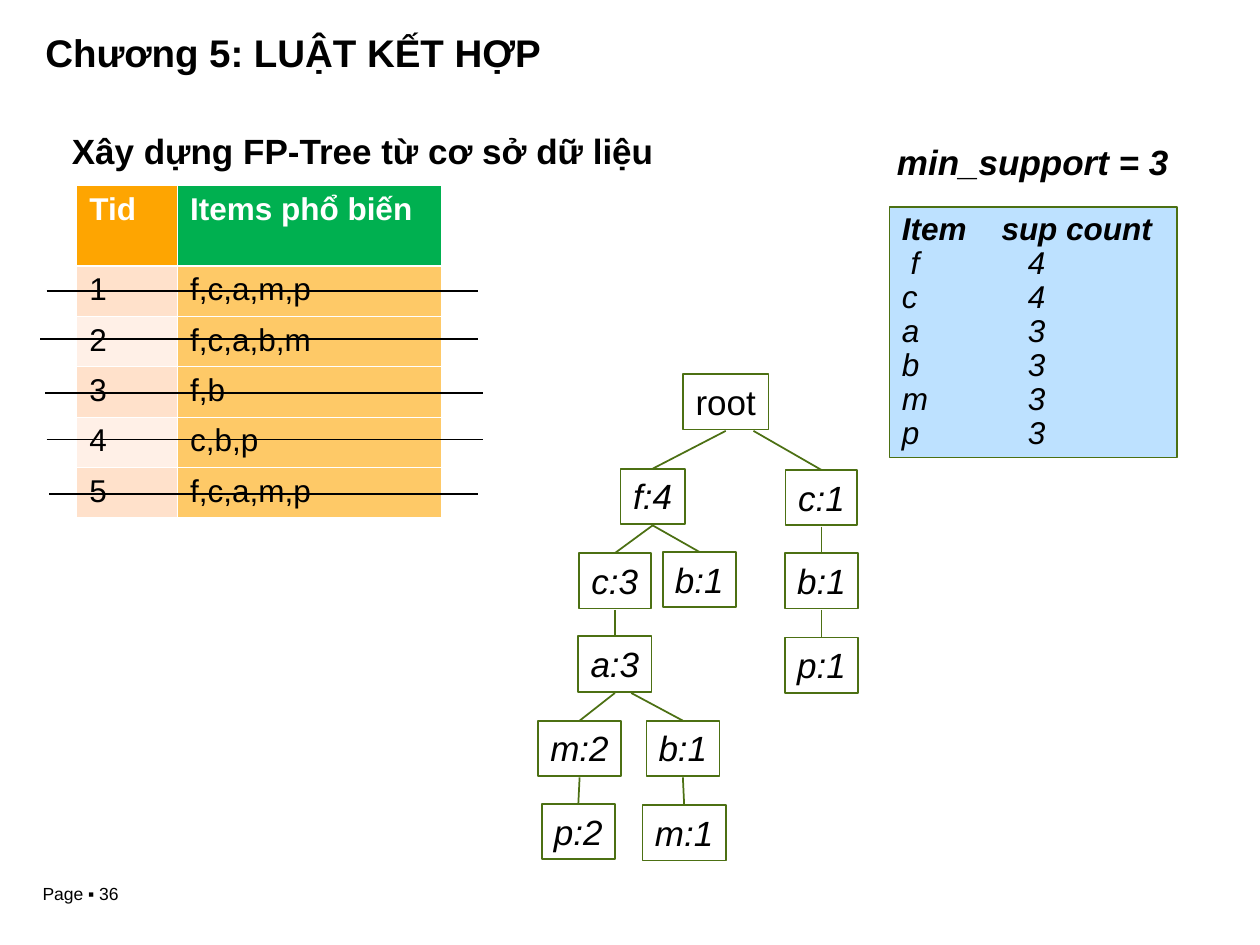
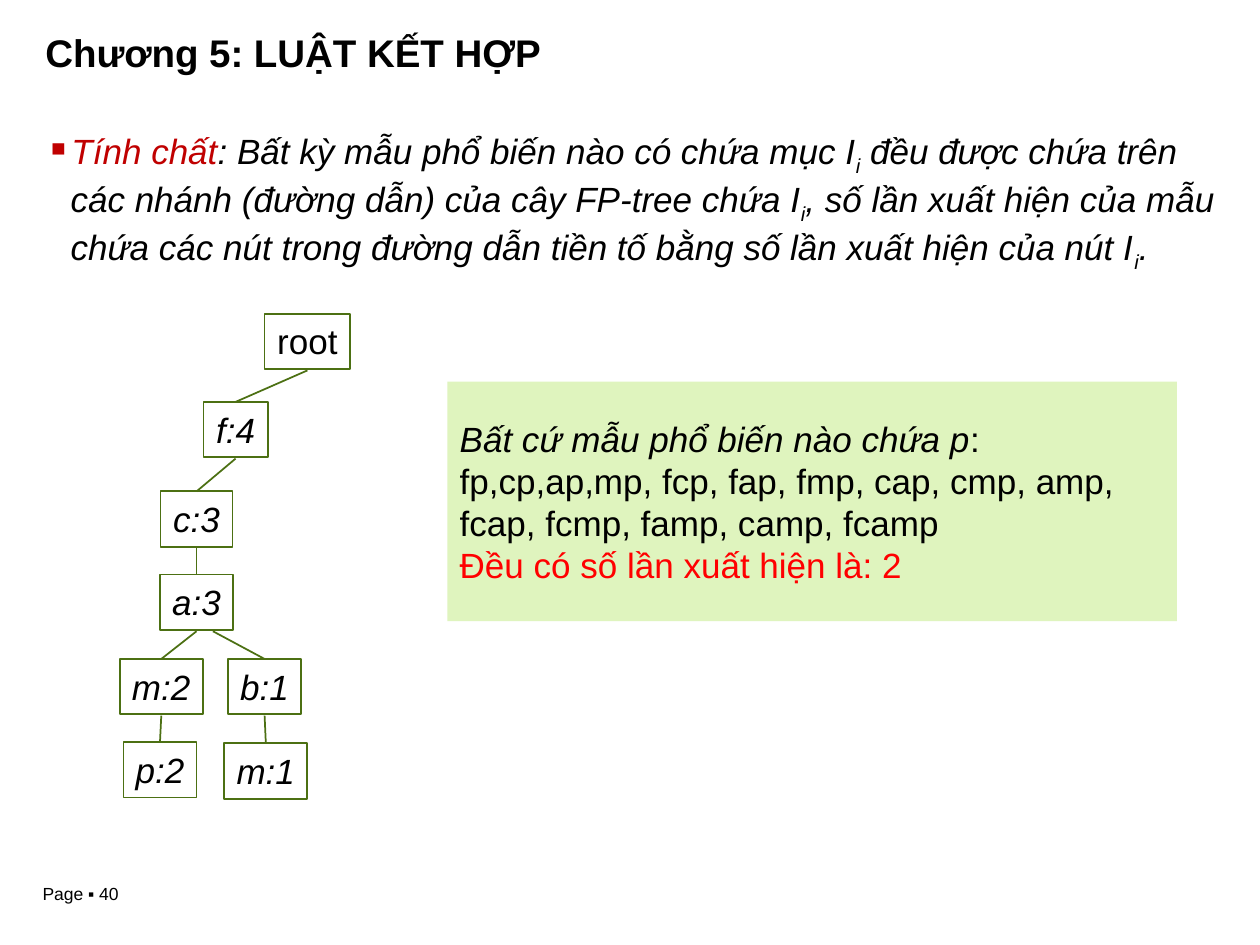
from dataclasses import dataclass

from pptx import Presentation
from pptx.dml.color import RGBColor as Color
from pptx.enum.shapes import MSO_CONNECTOR as Connector, MSO_SHAPE as Shape
from pptx.enum.text import MSO_ANCHOR as Anchor, MSO_AUTO_SIZE as AutoSize, PP_ALIGN as Align
from pptx.oxml.ns import qn
from pptx.util import Inches, Pt
from lxml.etree import SubElement


@dataclass(frozen=True)
class Theme:
    font: str = "Arial"
    black: str = "000000"
    white: str = "FFFFFF"
    green: str = "4C7013"
    dark_red: str = "C00000"
    red: str = "FF0000"
    pale_blue: str = "BDE1FF"
    pale_green: str = "DFF4BE"
    header_fills: tuple = ("FEA501", "00B050")
    tid_fills: tuple = ("FFE1CB", "FFF0E7")
    items_fill: str = "FEC967"
    title_size: int = 22
    body_size: int = 20
    table_size: int = 18
    footer_size: int = 10


theme = Theme()


def write(frame, lines, margins=(0.1, 0.05), anchor=Anchor.TOP, wrap=True,
          align=Align.LEFT, spacing=1.0, **look):
    """Fill a text frame; a line is a string or a list of (text, changes)."""
    side, edge = (Inches(margin) for margin in margins)
    settings = {"auto_size": AutoSize.NONE, "word_wrap": wrap, "vertical_anchor": anchor,
                "margin_left": side, "margin_right": side,
                "margin_top": edge, "margin_bottom": edge}
    for name, value in settings.items():
        setattr(frame, name, value)
    for number, line in enumerate(lines):
        para = frame.add_paragraph() if number else frame.paragraphs[0]
        para.alignment, para.line_spacing = align, spacing
        for text, changes in [(line, {})] if isinstance(line, str) else line:
            span = para.add_run()
            span.text = text
            values = {"size": theme.body_size, "color": theme.black,
                      "bold": False, "italic": False, **look, **changes}
            span.font.color.rgb = Color.from_string(values.pop("color"))
            if values.pop("subscript", False):
                span._r.get_or_add_rPr().set("baseline", "-25000")
            values.update(name=theme.font, size=Pt(values["size"]))
            for name, value in values.items():
                setattr(span.font, name, value)


def add_line(page, start, end, color, width):
    ends = [Inches(length) for length in (*start, *end)]
    line = page.shapes.add_connector(Connector.STRAIGHT, *ends)
    line.line.color.rgb = Color.from_string(color)
    line.line.width = Pt(width)
    SubElement(line._element.spPr, qn("a:effectLst"))


deck = Presentation()
deck.slide_width, deck.slide_height = Inches(10), Inches(7.5)

# Trees: label, centre, top, parent's place in the list, shift of the line's start
branch = [("a:3", 0, 0.66, 0, 0), ("m:2", -0.28, 1.33, 1, 0), ("p:2", -0.29, 1.99, 2, 0),
          ("b:1", 0.54, 1.33, 1, 0.13), ("m:1", 0.55, 2, 4, 0)]
trees = [
    {"stem": [("root", 5.76, 2.97, None, 0), ("f:4", 5.18, 3.72, 0, 0),
              ("c:3", 4.88, 4.39, 1, 0)],
     "others": [("b:1", 5.55, 4.38, 1, 0), ("c:1", 6.52, 3.73, 0, 0.22),
                ("b:1", 6.52, 4.39, 9, 0), ("p:1", 6.52, 5.06, 10, 0)]},
    {"stem": [("root", 2.44, 2.49, None, 0), ("f:4", 1.87, 3.19, 0, 0),
              ("c:3", 1.56, 3.9, 1, 0)],
     "others": []},
]
node_widths = {"r": 0.68, "f": 0.51, "c": 0.57, "m": 0.66}
node_height = 0.44

# Chapter title, page number and tree on each slide
pages = []
for page_number, tree in zip((36, 40), trees):
    page = deck.slides.add_slide(deck.slide_layouts[5])
    pages.append(page)
    title = page.shapes.title
    place = {"left": 0.36, "top": 0.22, "width": 9.32, "height": 0.71}
    for name, value in place.items():
        setattr(title, name, Inches(value))
    write(title.text_frame, ["Chương 5: LUẬT KẾT HỢP"], margins=(0, 0.05),
          spacing=0.9, size=theme.title_size, bold=True)

    footer = page.shapes.add_textbox(Inches(0.24), Inches(6.96), Inches(1.47), Inches(0.27))
    write(footer.text_frame, [f"Page ▪ {page_number}"], size=theme.footer_size)

    base_x, base_y = tree["stem"][-1][1:3]
    base_index = len(tree["stem"]) - 1
    moved = [(label, base_x + x, base_y + y, base_index + parent, shift)
             for label, x, y, parent, shift in branch]
    nodes = tree["stem"] + moved + tree["others"]
    for label, centre, top, parent, shift in nodes:
        width = node_widths.get(label[0], 0.58)
        box = page.shapes.add_shape(Shape.RECTANGLE, Inches(centre - width / 2), Inches(top),
                                    Inches(width), Inches(node_height))
        box.shadow.inherit = False
        box.fill.background()
        box.line.color.rgb = Color.from_string(theme.green)
        box.line.width = Pt(1)
        write(box.text_frame, [label], wrap=False, align=Align.CENTER, italic=label != "root")
        if parent is not None:
            parent_x, parent_y = nodes[parent][1:3]
            add_line(page, (parent_x + shift, parent_y + node_height + 0.01),
                     (centre, top), theme.green, 1)

build_page, property_page = pages

# Slide 1: headings
heading = build_page.shapes.add_textbox(Inches(0.57), Inches(1.02), Inches(4.73), Inches(0.48))
write(heading.text_frame, ["Xây dựng FP-Tree từ cơ sở dữ liệu"], margins=(0, 0.05),
      spacing=0.9, bold=True)
support = build_page.shapes.add_textbox(Inches(7.02), Inches(1.18), Inches(2.42), Inches(0.3))
write(support.text_frame, ["min_support = 3"], spacing=0.6, bold=True, italic=True)

# Slide 1: support counts
counts = build_page.shapes.add_shape(Shape.RECTANGLE, Inches(7.06), Inches(1.64),
                                     Inches(2.28), Inches(1.99))
counts.shadow.inherit = False
counts.fill.solid()
counts.fill.fore_color.rgb = Color.from_string(theme.pale_blue)
counts.line.color.rgb = Color.from_string(theme.green)
counts.line.width = Pt(1)
write(counts.text_frame,
      [[("Item\tsup count", {"bold": True})],
       " f\t4", "c\t4", "a\t3", "b\t3", "m\t3", "p\t3"],
      spacing=0.9, size=theme.table_size, italic=True)
for number, para in enumerate(counts.text_frame.paragraphs):
    tabs = SubElement(para._p.get_or_add_pPr(), qn("a:tabLst"))
    SubElement(tabs, qn("a:tab"), pos=str(Inches(1 if number else 0.79)), algn="l")

# Slide 1: transactions
transactions = [("Tid", "Items phổ biến"), ("1", "f,c,a,m,p"), ("2", "f,c,a,b,m"),
                ("3", "f,b"), ("4", "c,b,p"), ("5", "f,c,a,m,p")]
table = build_page.shapes.add_table(len(transactions), 2, Inches(0.61), Inches(1.47),
                                    Inches(2.89), Inches(2.64)).table
table.horz_banding = False
for column, width in zip(table.columns, (0.8, 2.09)):
    column.width = Inches(width)
for row_number, texts in enumerate(transactions):
    header = row_number == 0
    table.rows[row_number].height = Inches(0.64 if header else 0.4)
    fills = theme.header_fills if header else (theme.tid_fills[(row_number - 1) % 2],
                                               theme.items_fill)
    for column_number, (text, fill) in enumerate(zip(texts, fills)):
        cell = table.cell(row_number, column_number)
        write(cell.text_frame, [text], size=theme.table_size, bold=header,
              color=theme.white if header else theme.black)
        for side in "LRTB":
            thick = (side == "B" and header) or (side == "T" and row_number == 1)
            border = SubElement(cell._tc.get_or_add_tcPr(), qn(f"a:ln{side}"),
                                w=str(Pt(1.47 if thick else 0.45)))
            paint = SubElement(border, qn("a:solidFill"))
            SubElement(paint, qn("a:srgbClr"), val=theme.white)
        cell.fill.solid()
        cell.fill.fore_color.rgb = Color.from_string(fill)

# Slide 1: strokes through the transactions already read
for left, right, height in [(0.37, 3.79, 2.31), (0.32, 3.79, 2.69), (0.36, 3.83, 3.12),
                            (0.37, 3.83, 3.49), (0.39, 3.79, 3.92)]:
    add_line(build_page, (left, height), (right, height), theme.black, 0.75)

# Slide 2: property
statement = property_page.shapes.add_textbox(Inches(0.36), Inches(1.03),
                                             Inches(9.32), Inches(1.3))
index = ("i", {"subscript": True})
write(statement.text_frame, [[
    ("Tính chất", {"color": theme.dark_red}),
    (": Bất kỳ mẫu phổ biến nào có chứa mục I", {}), index,
    (" đều được chứa trên các nhánh (đường dẫn) của cây FP-tree chứa I", {}), index,
    (", số lần xuất hiện của mẫu chứa các nút trong đường dẫn tiền tố "
     "bằng số lần xuất hiện của nút I", {}), index,
    (".", {})]], margins=(0, 0), italic=True)
para = statement.text_frame.paragraphs[0]
para.space_after = Pt(10)
bullet = para._p.get_or_add_pPr()
bullet.set("marL", str(Inches(0.2)))
bullet.set("indent", str(Inches(-0.2)))
bullet_color = SubElement(bullet, qn("a:buClr"))
SubElement(bullet_color, qn("a:srgbClr"), val=theme.dark_red)
SubElement(bullet, qn("a:buChar"), char="▪")

# Slide 2: patterns that hold p
patterns = property_page.shapes.add_shape(Shape.RECTANGLE, Inches(3.55), Inches(3.03),
                                          Inches(5.79), Inches(1.9))
patterns.shadow.inherit = False
patterns.fill.solid()
patterns.fill.fore_color.rgb = Color.from_string(theme.pale_green)
patterns.line.fill.background()
write(patterns.text_frame,
      [[("Bất cứ mẫu phổ biến nào chứa p", {"italic": True}), (":", {})],
       "fp,cp,ap,mp, fcp, fap, fmp, cap, cmp, amp,",
       "fcap, fcmp, famp, camp, fcamp",
       [("Đều có số lần xuất hiện là: 2", {"color": theme.red})]],
      anchor=Anchor.MIDDLE)

deck.save("out.pptx")
